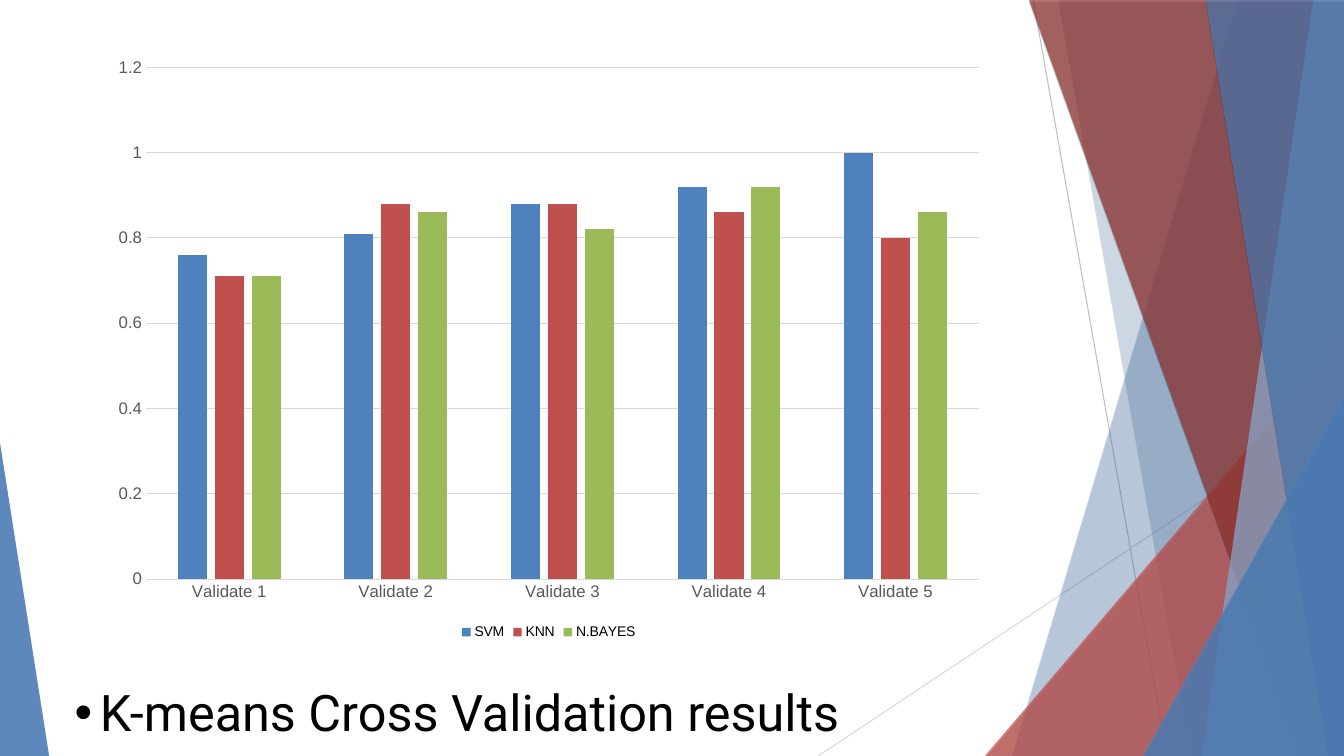
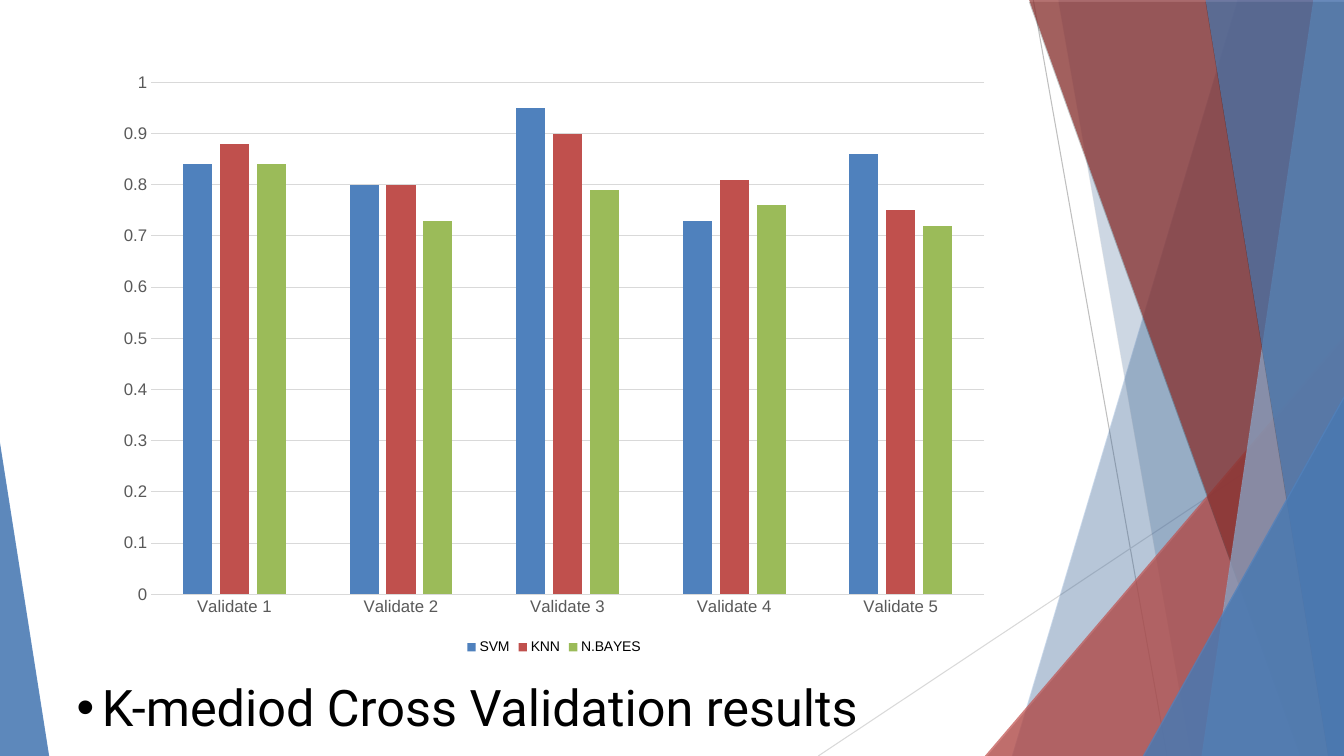
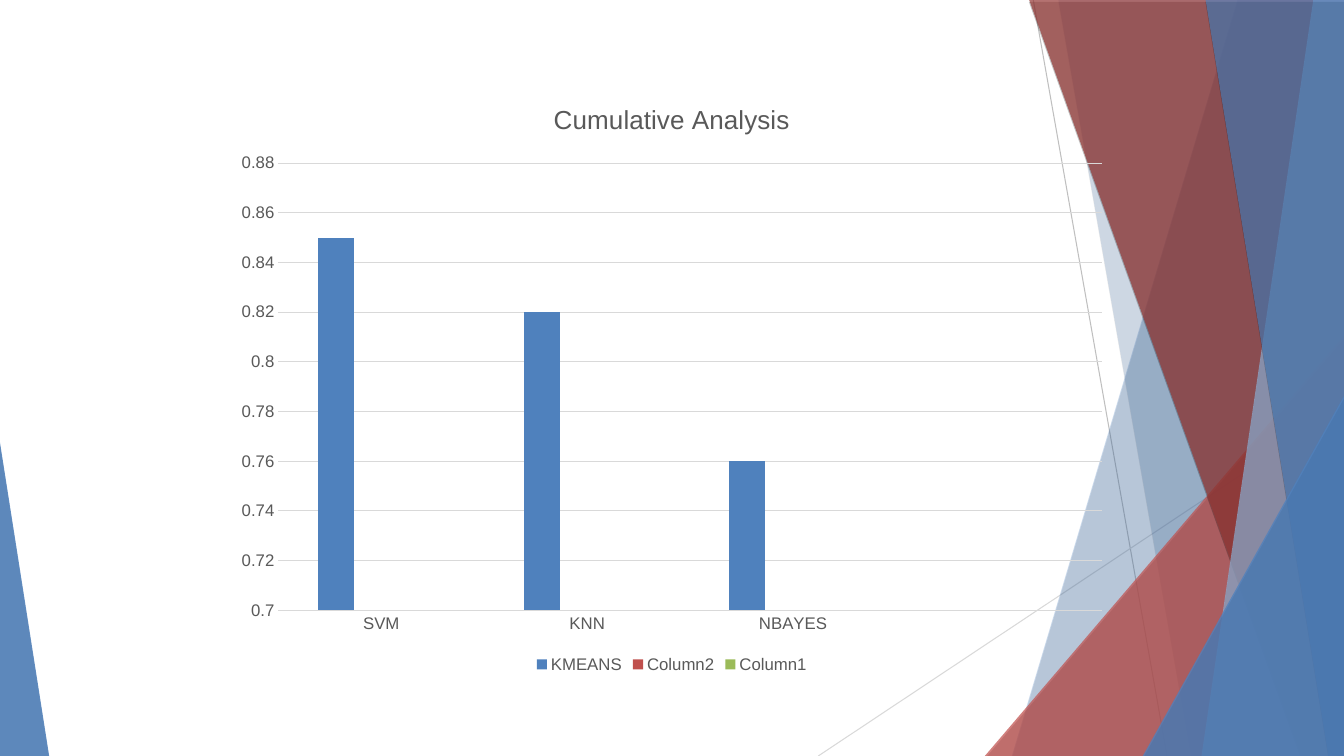
from lxml.etree import SubElement
from pptx import Presentation
from pptx.chart.data import CategoryChartData
from pptx.dml.color import RGBColor
from pptx.enum.chart import XL_CHART_TYPE as ChartType, XL_LEGEND_POSITION as LegendPosition, XL_TICK_MARK as TickMark
from pptx.enum.shapes import MSO_CONNECTOR as Connector, MSO_SHAPE as Shape
from pptx.enum.text import MSO_ANCHOR as Anchor
from pptx.oxml.ns import qn
from pptx.util import Cm, Pt

BLACK = RGBColor(0x00, 0x00, 0x00)
BLUE = RGBColor(0x4F, 0x81, 0xBD)
PALE_BLUE = RGBColor(0x95, 0xB3, 0xD7)
RED = RGBColor(0xC0, 0x50, 0x4D)
DARK_RED = RGBColor(0x95, 0x37, 0x35)
GREEN = RGBColor(0x9B, 0xBB, 0x59)
GREY = RGBColor(0x59, 0x59, 0x59)
MID_GREY = RGBColor(0xBF, 0xBF, 0xBF)
LIGHT_GREY = RGBColor(0xD9, 0xD9, 0xD9)

WIDTH, HEIGHT = 33.87, 19.05
BAND_TOP = -0.02
CHART_WIDTH, CHART_HEIGHT = 22.58, 15.06
SERIES_COLORS = (BLUE, RED, GREEN)
FOLDS = ["Validate 1", "Validate 2", "Validate 3", "Validate 4", "Validate 5"]


class Deck:
    """Hold the shared style and the slide being built."""

    def __init__(self):
        self.prs = Presentation()
        self.prs.slide_width, self.prs.slide_height = Cm(WIDTH), Cm(HEIGHT)
        self.layout = self.prs.slide_layouts[6]
        self.slide = None

    def new_slide(self):
        self.slide = self.prs.slides.add_slide(self.layout)

    def ray(self, x1, y1, x2, y2, color):
        line = self.slide.shapes.add_connector(Connector.STRAIGHT, Cm(x1), Cm(y1), Cm(x2), Cm(y2))
        line.line.color.rgb = color
        line.line.width = Pt(0.75)
        SubElement(line.element.spPr, qn("a:effectLst"))

    def glass(self, pane, color, opacity):
        pane.fill.solid()
        pane.fill.fore_color.rgb = color
        pane.line.fill.background()
        pane.shadow.inherit = False
        tint = pane.element.spPr.find(qn("a:solidFill"))[0]
        SubElement(tint, qn("a:alpha"), val=str(opacity * 1000))
        effects = pane.element.spPr.find(qn("a:effectLst"))
        shadow = SubElement(effects, qn("a:outerShdw"), blurRad="0", dist=str(Pt(2)),
                            dir="5400000", rotWithShape="0")
        shade = SubElement(shadow, qn("a:srgbClr"), val=str(BLACK))
        SubElement(shade, qn("a:alpha"), val="35000")

    def band(self, top_x, bottom_x, color, opacity):
        outline = self.slide.shapes.build_freeform(Cm(top_x), Cm(BAND_TOP))
        corners = [(WIDTH, BAND_TOP), (WIDTH, HEIGHT), (bottom_x, HEIGHT)]
        outline.add_line_segments([(Cm(x), Cm(y)) for x, y in corners])
        self.glass(outline.convert_to_shape(), color, opacity)

    def wedge(self, left, top, right, apex, color, opacity):
        triangle = self.slide.shapes.add_shape(
            Shape.ISOSCELES_TRIANGLE, Cm(left), Cm(top), Cm(right - left), Cm(HEIGHT - top))
        triangle.adjustments[0] = apex
        self.glass(triangle, color, opacity)

    def share_backdrop(self):
        """Draw the facets on the current slide and move them to the layout."""
        self.ray(26.04, 0, 29.41, HEIGHT, MID_GREY)
        self.ray(WIDTH, 10.24, 20.62, HEIGHT, LIGHT_GREY)
        self.band(31.19, 25.5, BLUE, 30)
        self.band(26.67, 30.02, BLUE, 20)
        self.wedge(24.82, 8.46, WIDTH, 1, RED, 72)
        self.band(25.93, 32.79, DARK_RED, 70)
        self.band(33.1, 30.28, PALE_BLUE, 70)
        self.band(30.38, 33.48, BLUE, 65)
        self.wedge(28.8, 9.98, WIDTH, 1, BLUE, 80)
        self.wedge(0, 11.15, 1.24, 0, BLUE, 85)
        for facet in list(self.slide.shapes):
            self.layout.element.cSld.spTree.append(facet.element)

    def caption(self, text, left, top, width, height):
        frame = self.slide.shapes.add_textbox(Cm(left), Cm(top), Cm(width), Cm(height)).text_frame
        frame.word_wrap = True
        frame.vertical_anchor = Anchor.MIDDLE
        frame.margin_left = frame.margin_right = frame.margin_top = frame.margin_bottom = 0
        line = frame.paragraphs[0]
        line.text = text
        line.line_spacing = 0.9
        props = line._p.get_or_add_pPr()
        props.set("marL", str(Cm(0.64)))
        props.set("indent", str(-Cm(0.64)))
        SubElement(SubElement(props, qn("a:buClr")), qn("a:srgbClr"), val=str(BLACK))
        SubElement(props, qn("a:buFont"), typeface="Arial")
        SubElement(props, qn("a:buChar"), char="•")
        self.style(line.font, 36, BLACK, "Roboto")

    def style(self, font, size, color, name="Arial"):
        font.size, font.name, font.bold = Pt(size), name, False
        font.color.rgb = color

    def columns(self, left, top, categories, series, scale, title=None, legend=(10, BLACK)):
        data = CategoryChartData(number_format="General")
        data.categories = categories
        for name, values in series.items():
            data.add_series(name, values)
        chart = self.slide.shapes.add_chart(
            ChartType.COLUMN_CLUSTERED, Cm(left), Cm(top), Cm(CHART_WIDTH), Cm(CHART_HEIGHT), data).chart
        self.style(chart.font, 10, BLACK)
        chart.has_title = title is not None
        if title:
            heading = chart.chart_title.text_frame.paragraphs[0]
            heading.text = title
            self.style(heading.font, 18.6, GREY)
        chart.has_legend = True
        chart.legend.position = LegendPosition.BOTTOM
        chart.legend.include_in_layout = False
        self.style(chart.legend.font, *legend)
        for axis in (chart.category_axis, chart.value_axis):
            axis.major_tick_mark = axis.minor_tick_mark = TickMark.NONE
            self.style(axis.tick_labels.font, 12, GREY)
        values_axis = chart.value_axis
        values_axis.minimum_scale, values_axis.maximum_scale, values_axis.major_unit = scale
        values_axis.format.line.fill.background()
        for rule in (chart.category_axis.format.line, values_axis.major_gridlines.format.line):
            rule.color.rgb = LIGHT_GREY
            rule.width = Pt(0.75)
        plot = chart.plots[0]
        plot.gap_width, plot.overlap, plot.vary_by_categories = 219, -27, False
        for column, color in zip(plot.series, SERIES_COLORS):
            column.format.fill.solid()
            column.format.fill.fore_color.rgb = color


def main():
    deck = Deck()

    deck.new_slide()
    deck.share_backdrop()
    deck.caption("K-means Cross Validation results", 1.88, 16.99, 23.88, 2.06)
    deck.columns(2.54, 1.17, FOLDS, {
        "SVM": (0.76, 0.81, 0.88, 0.92, 1),
        "KNN": (0.71, 0.88, 0.88, 0.86, 0.8),
        "N.BAYES": (0.71, 0.86, 0.82, 0.92, 0.86),
    }, scale=(0, 1.2, 0.2))

    deck.new_slide()
    deck.caption("K-mediod Cross Validation results", 1.93, 17.22, 24.03, 1.35)
    deck.columns(2.67, 1.55, FOLDS, {
        "SVM": (0.84, 0.8, 0.95, 0.73, 0.86),
        "KNN": (0.88, 0.8, 0.9, 0.81, 0.75),
        "N.BAYES": (0.84, 0.73, 0.79, 0.76, 0.72),
    }, scale=(0, 1, 0.1))

    deck.new_slide()
    unused = (None,) * 4
    deck.columns(5.64, 2.01, ["SVM", "KNN", "NBAYES", ""], {
        "KMEANS": (0.85, 0.82, 0.76, None),
        "Column2": unused,
        "Column1": unused,
    }, scale=(0.7, 0.88, 0.02), title="Cumulative Analysis", legend=(12, GREY))

    deck.prs.save("out.pptx")


if __name__ == "__main__":
    main()
